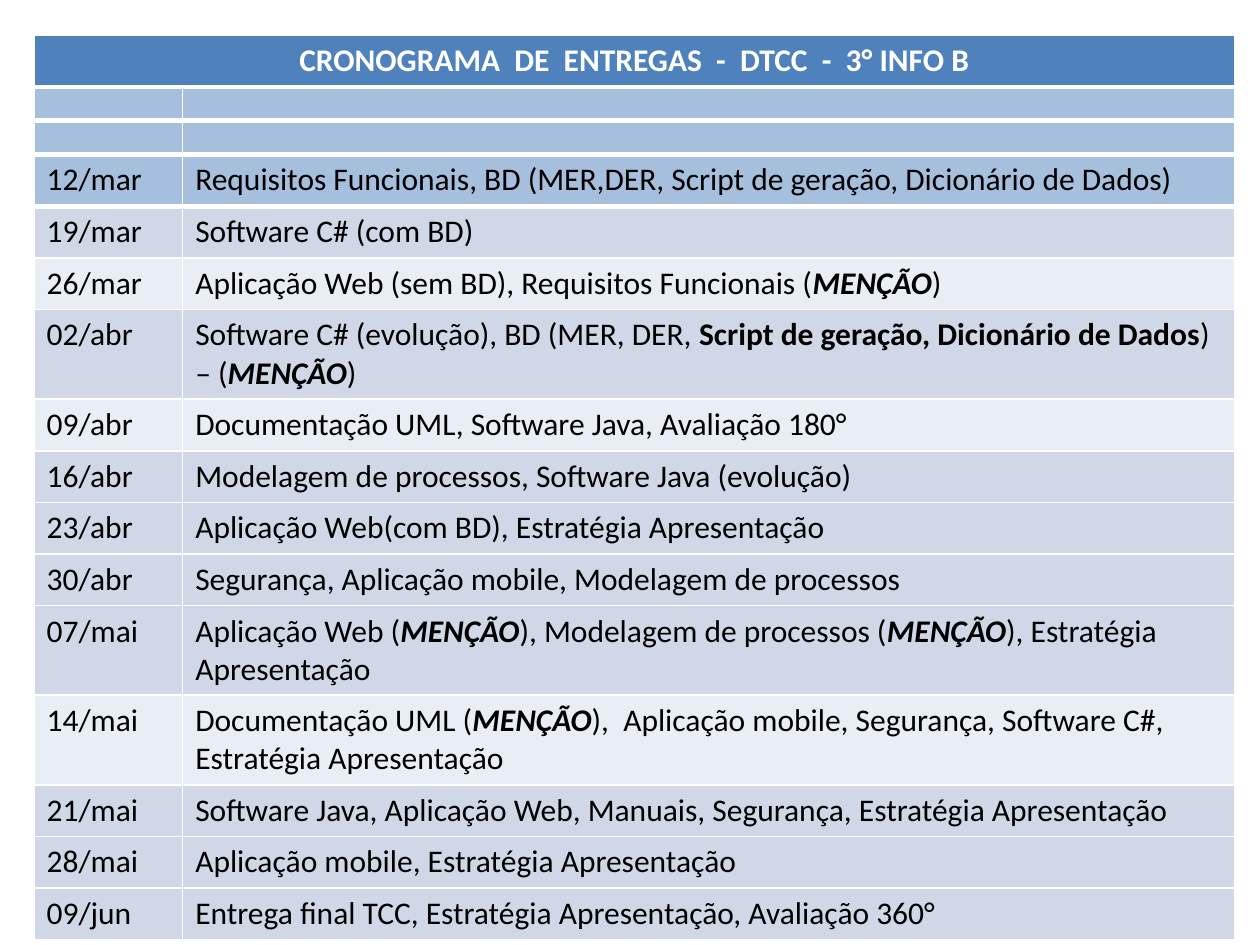
from pptx import Presentation
from pptx.dml.color import RGBColor as RGB
from pptx.enum.text import PP_ALIGN as Align
from pptx.oxml.ns import qn
from pptx.util import Inches, Pt
from lxml.etree import SubElement as Sub


def tint(hue):
    return RGB.from_string(hue)


def write(cell, text, hue, bold=False):
    para = cell.text_frame.paragraphs[0]
    for pos, part in enumerate(text.split("|")):
        strong = pos % 2 == 1
        run = para.add_run()
        run.text = part
        look = {"name": "Calibri", "size": Pt(18), "bold": bold or strong,
                "italic": strong and part == "MENÇÃO"}
        for key, value in look.items():
            setattr(run.font, key, value)
        run.font.color.rgb = tint(hue)


BLUE, DARK, LIGHT = "4F81BD", "D0D8E8", "E9EDF4"
TITLE = "CRONOGRAMA  DE  ENTREGAS  -  DTCC  -  3° INFO B"
plan = [
    ("", "", BLUE),
    ("", "", BLUE),
    ("12/mar", "Requisitos Funcionais, BD (MER,DER, Script de geração, Dicionário de Dados)", BLUE),
    ("19/mar", "Software C# (com BD)", DARK),
    ("26/mar", "Aplicação Web (sem BD), Requisitos Funcionais (|MENÇÃO|)", LIGHT),
    ("02/abr", "Software C# (evolução), BD (MER, DER, |Script de geração, Dicionário de Dados|) – (|MENÇÃO|)", DARK),
    ("09/abr", "Documentação UML, Software Java, Avaliação 180°", LIGHT),
    ("16/abr", "Modelagem de processos, Software Java (evolução)", DARK),
    ("23/abr", "Aplicação Web(com BD), Estratégia Apresentação", DARK),
    ("30/abr", "Segurança, Aplicação mobile, Modelagem de processos", DARK),
    ("07/mai", "Aplicação Web (|MENÇÃO|), Modelagem de processos (|MENÇÃO|), Estratégia Apresentação", DARK),
    ("14/mai", "Documentação UML (|MENÇÃO|),  Aplicação mobile, Segurança, Software C#, Estratégia Apresentação", LIGHT),
    ("21/mai", "Software Java, Aplicação Web, Manuais, Segurança, Estratégia Apresentação", DARK),
    ("28/mai", "Aplicação mobile, Estratégia Apresentação", DARK),
    ("09/jun", "Entrega final TCC, Estratégia Apresentação, Avaliação 360°", DARK),
]
rows = [(TITLE, "", BLUE)] + plan

deck = Presentation()
deck.slide_width, deck.slide_height = Inches(10), Inches(7.5)
slide = deck.slides.add_slide(deck.slide_layouts[6])
table = slide.shapes.add_table(len(rows), 2, Inches(0.27), Inches(0.28),
                               Inches(9.53), Inches(7.1)).table
table.first_row = table.horz_banding = False
for col, width in zip(table.columns, (1.18, 8.35)):
    col.width = Inches(width)
table.cell(0, 0).merge(table.cell(0, 1))

for num, (date, task, back) in enumerate(rows):
    table.rows[num].height = Inches(0.41 if date else 0.22)
    head = num == 0
    edges = {"L": 1, "R": 1, "T": 3 if 1 <= num <= 4 else 1, "B": 3 if num <= 3 else 1}
    for cell, text in zip(table.rows[num].cells, (date, task)):
        props = cell._tc.get_or_add_tcPr()
        for side, size in edges.items():
            line = Sub(props, qn(f"a:ln{side}"), w=str(Pt(size)))
            Sub(Sub(line, qn("a:solidFill")), qn("a:srgbClr"), val="FFFFFF")
        cell.fill.solid()
        cell.fill.fore_color.rgb = tint(back)
        if back == BLUE and not head:
            Sub(props.find(".//" + qn("a:srgbClr") + f"[@val='{BLUE}']"), qn("a:alpha"), val="50000")
        if text:
            write(cell, text, "FFFFFF" if head else "000000", head)
        else:
            Sub(cell.text_frame.paragraphs[0]._p, qn("a:endParaRPr"), sz="1000")
table.cell(0, 0).text_frame.paragraphs[0].alignment = Align.CENTER

deck.save("out.pptx")
